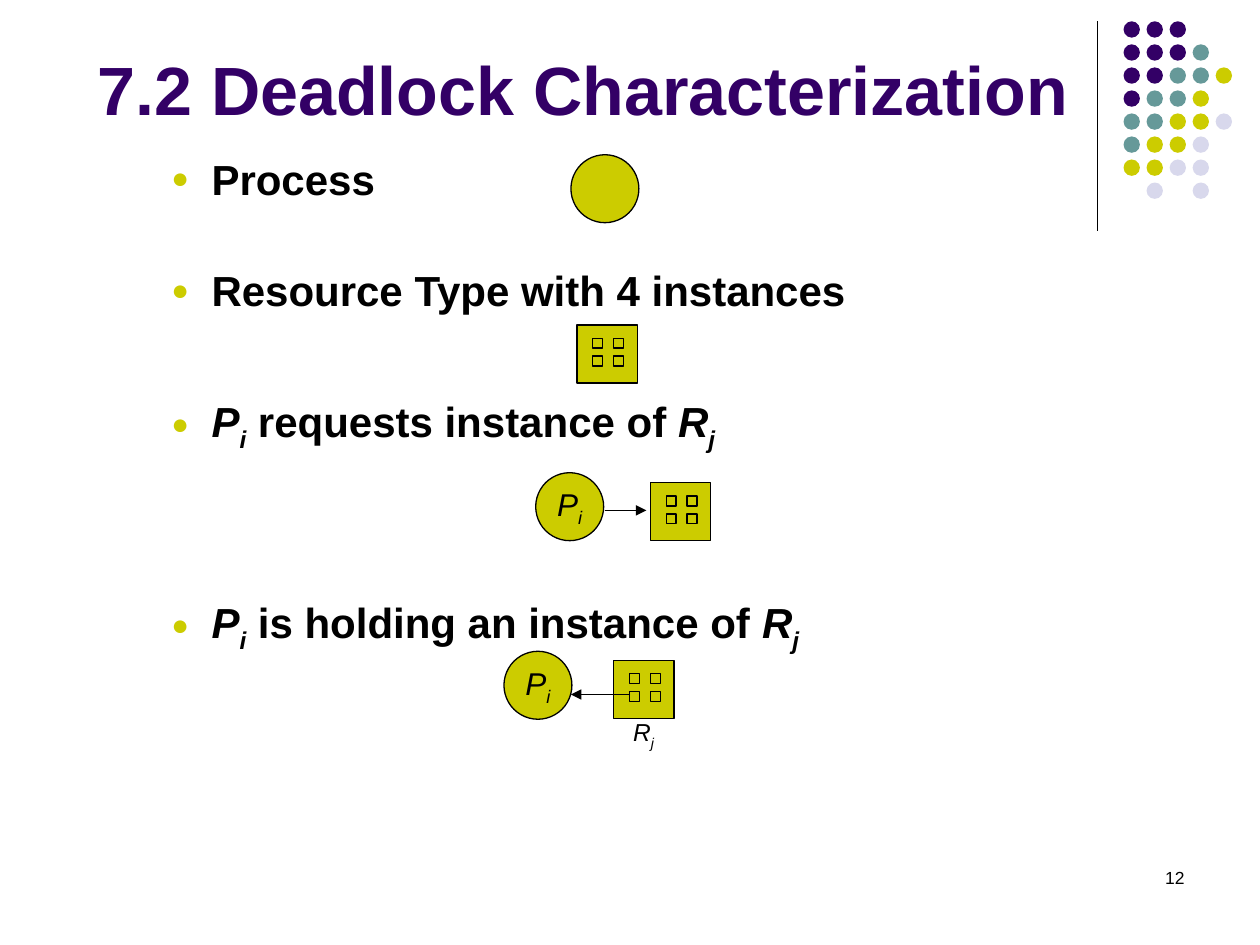
from lxml import etree
from pptx import Presentation
from pptx.dml.color import RGBColor
from pptx.enum.shapes import MSO_CONNECTOR, MSO_SHAPE
from pptx.enum.text import MSO_ANCHOR, MSO_AUTO_SIZE, PP_ALIGN
from pptx.oxml.ns import qn
from pptx.util import Cm, Pt

OVAL, RECT = MSO_SHAPE.OVAL, MSO_SHAPE.RECTANGLE
STRAIGHT = MSO_CONNECTOR.STRAIGHT
TOP, MIDDLE, BOTTOM = MSO_ANCHOR.TOP, MSO_ANCHOR.MIDDLE, MSO_ANCHOR.BOTTOM
LEFT, CENTER, RIGHT = PP_ALIGN.LEFT, PP_ALIGN.CENTER, PP_ALIGN.RIGHT

BLACK = RGBColor(0x00, 0x00, 0x00)
PURPLE = RGBColor(0x33, 0x00, 0x66)
TEAL = RGBColor(0x66, 0x99, 0x99)
OLIVE = RGBColor(0xCC, 0xCC, 0x00)
LAVENDER = RGBColor(0xD8, 0xD8, 0xEC)
FONT = "Arial"

# Content: text spans are (text, style), with i = italic and s = subscript
TITLE = [("7.2 Deadlock Characterization", "")]
PAGE_NUMBER = [("12", "")]
PROCESS = [("P", "i"), ("i", "is")]
RESOURCE = [("R", "i"), ("j", "is")]
BULLETS = [  # space before in points, spans
    (0, [("Process", "")]),
    (35, [("Resource Type with 4 instances", "")]),
    (46, PROCESS + [(" requests instance of ", "")] + RESOURCE),
    (82, PROCESS + [(" is holding an instance of ", "")] + RESOURCE),
]

# Places in centimetres
CIRCLES = [(11.51, 3.12, []), (10.8, 9.53, PROCESS), (10.16, 13.13, PROCESS)]
RESOURCES = [(11.63, 6.55), (13.11, 9.73), (12.37, 13.31)]
ARROWS = [(12.19, 10.29, 13.03, 10.29), (12.7, 14, 11.51, 14)]
DIVIDER = (22.12, 0.43, 22.12, 4.65)

# Dot ornament: one letter per dot
DOT_COLORS = {"p": PURPLE, "t": TEAL, "o": OLIVE, "l": LAVENDER}
DOT_ROWS = ["ppp", "pppt", "pptto", "ptto", "ttool", "tool", "ooll", " l l"]
DOT_LEFT, DOT_TOP, DOT_SIZE = 22.65, 0.43, 0.33
DOT_STEP = 3.25 / (len(DOT_ROWS) - 1)


def place(shape, left, top, width, height):
    shape.left, shape.top = Cm(left), Cm(top)
    shape.width, shape.height = Cm(width), Cm(height)


def write(para, spans, size, color=BLACK, bold=False, align=LEFT):
    para.alignment = align
    for text, style in spans:
        span = para.add_run()
        span.text = text
        font = span.font
        font.name, font.size, font.bold = FONT, Pt(size), bold
        font.italic = "i" in style
        font.color.rgb = color
        if "s" in style:
            span._r.get_or_add_rPr().set("baseline", "-25000")


def set_frame(shape, anchor, wrap=True):
    frame = shape.text_frame
    frame.auto_size = MSO_AUTO_SIZE.NONE
    frame.vertical_anchor, frame.word_wrap = anchor, wrap
    return frame


def add_bullet(para):
    props = para._p.get_or_add_pPr()
    props.set("marL", str(Cm(2.74)))
    props.set("indent", str(Cm(-0.81)))
    color = etree.SubElement(props, qn("a:buClr"))
    etree.SubElement(color, qn("a:srgbClr"), val=str(OLIVE))
    etree.SubElement(props, qn("a:buSzPct"), val="70000")
    etree.SubElement(props, qn("a:buFont"), typeface=FONT)
    etree.SubElement(props, qn("a:buChar"), char="●")


def add_shape(shapes, kind, left, top, width, height, fill=OLIVE, outlined=True):
    shape = shapes.add_shape(kind, Cm(left), Cm(top), Cm(width), Cm(height))
    shape.shadow.inherit = False
    shape.fill.solid()
    shape.fill.fore_color.rgb = fill
    if outlined:
        shape.line.color.rgb, shape.line.width = BLACK, Pt(0.75)
    else:
        shape.line.fill.background()
    return shape


def add_line(shapes, ends, arrow=False):
    line = shapes.add_connector(STRAIGHT, *[Cm(value) for value in ends])
    line.line.color.rgb, line.line.width = BLACK, Pt(0.75)
    if arrow:
        etree.SubElement(line.line._get_or_add_ln(), qn("a:tailEnd"), type="triangle")
    etree.SubElement(line._element.spPr, qn("a:effectLst"))


def add_resource(shapes, left, top):
    group = shapes.add_group_shape()
    add_shape(group.shapes, RECT, left, top, 1.22, 1.17)
    for row in range(2):
        for column in range(2):
            add_shape(group.shapes, RECT, left + 0.32 + 0.42 * column,
                      top + 0.27 + 0.36 * row, 0.2, 0.2)


def add_text(shapes, spans, bounds, size, anchor, align, wrap):
    box = shapes.add_textbox(*[Cm(value) for value in bounds])
    write(set_frame(box, anchor, wrap).paragraphs[0], spans, size, align=align)


def main():
    deck = Presentation()
    deck.slide_width, deck.slide_height = Cm(25.4), Cm(19.05)
    page = deck.slides.add_slide(deck.slide_layouts[1])
    shapes = page.shapes

    # Title and bullet list
    title, body = page.placeholders
    place(title, 1.27, 0.33, 20.96, 2.41)
    write(set_frame(title, BOTTOM).paragraphs[0], TITLE, 39, PURPLE, True, CENTER)
    place(body, 1.27, 2.97, 22.86, 14.07)
    frame = set_frame(body, TOP)
    frame.margin_top = Cm(0.12)
    for index, (space, spans) in enumerate(BULLETS):
        para = frame.add_paragraph() if index else frame.paragraphs[0]
        para.level = 1
        para.space_before = Pt(space)
        add_bullet(para)
        write(para, spans, 24, bold=True)

    # Corner ornament and page number
    add_line(shapes, DIVIDER)
    dots = shapes.add_group_shape()
    for row, letters in enumerate(DOT_ROWS):
        for column, letter in enumerate(letters):
            if letter in DOT_COLORS:
                add_shape(dots.shapes, OVAL, DOT_LEFT + DOT_STEP * column,
                          DOT_TOP + DOT_STEP * row, DOT_SIZE, DOT_SIZE,
                          DOT_COLORS[letter], outlined=False)
    add_text(shapes, PAGE_NUMBER, (18.21, 17.35, 5.92, 1.27), 10, TOP, RIGHT, True)

    # Processes, resources and the edges between them
    for left, top, spans in CIRCLES:
        circle = add_shape(shapes, OVAL, left, top, 1.37, 1.37)
        if spans:
            para = set_frame(circle, MIDDLE, False).paragraphs[0]
            write(para, spans, 18, align=CENTER)
    for left, top in RESOURCES:
        add_resource(shapes, left, top)
    for ends in ARROWS:
        add_line(shapes, ends, arrow=True)
    add_text(shapes, RESOURCE, (12.52, 14.33, 0.91, 0.94), 14, MIDDLE, CENTER, False)

    deck.save("out.pptx")


if __name__ == "__main__":
    main()
